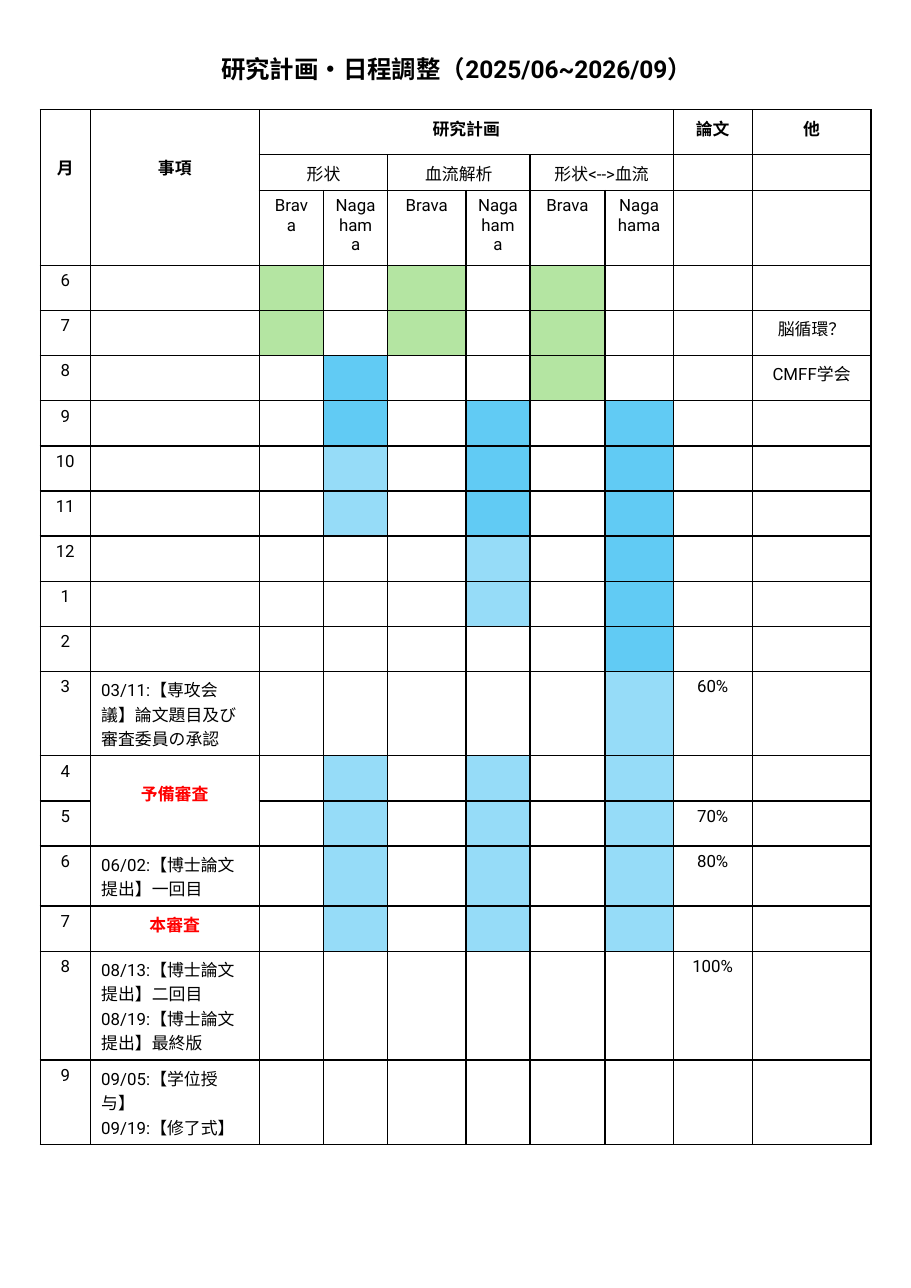
"""Build a one-page research plan and schedule table, June 2025 to September 2026."""
from lxml.etree import SubElement
from pptx import Presentation
from pptx.dml.color import RGBColor
from pptx.enum.text import PP_ALIGN
from pptx.oxml.ns import qn
from pptx.util import Cm, Pt

BLACK, RED, WHITE = "000000", "FF0000", "FFFFFF"
GREEN, BLUE, PALE_BLUE = "B4E5A2", "61CBF4", "96DCF8"


def set_colour(colour_format, hex_colour):
    """Give a fill or font colour its RGB value."""
    colour_format.rgb = RGBColor.from_string(hex_colour)


def write_line(paragraph, text, colour=BLACK, **format_values):
    """Add one formatted run to a paragraph."""
    run = paragraph.add_run()
    run.text = text
    values = {"name": "Roboto", "size": Pt(11), "bold": False} | format_values
    for attribute, value in values.items():
        setattr(run.font, attribute, value)
    set_colour(run.font.color, colour)


presentation = Presentation()
presentation.slide_width = Cm(21)
presentation.slide_height = Cm(29.7)
slide = presentation.slides.add_slide(presentation.slide_layouts[6])

column_widths = [1.15, 3.9, 1.48, 1.48, 1.8, 1.48, 1.73, 1.57, 1.82, 2.74]
months = [6, 7, 8, 9, 10, 11, 12, 1, 2, 3, 4, 5, 6, 7, 8, 9]
row_heights = [1.04, 0.61, 0.81] + [1.04] * len(months)
first_month_row = 3

texts = {
    (0, 0): "月", (0, 1): "事項", (0, 2): "研究計画", (0, 8): "論文", (0, 9): "他",
    (1, 2): "形状", (1, 4): "血流解析", (1, 6): "形状<-->血流",
    (4, 9): "脳循環？", (5, 9): "CMFF学会",
    (12, 1): "03/11:【専攻会議】論文題目及び審査委員の承認",
    (13, 1): "予備審査",
    (15, 1): "06/02:【博士論文提出】一回目",
    (16, 1): "本審査",
    (17, 1): "08/13:【博士論文提出】二回目\n08/19:【博士論文提出】最終版",
    (18, 1): "09/05:【学位授与】\n09/19:【修了式】",
    (12, 8): "60%", (14, 8): "70%", (15, 8): "80%", (17, 8): "100%",
}
for column in range(2, 8):
    texts[2, column] = "Nagahama" if column % 2 else "Brava"
for row, month in enumerate(months, first_month_row):
    texts[row, 0] = str(month)

bars = [
    (2, 3, 4, GREEN), (4, 3, 4, GREEN), (6, 3, 5, GREEN),
    (3, 5, 6, BLUE), (5, 6, 8, BLUE), (7, 6, 11, BLUE),
    (3, 7, 8, PALE_BLUE), (5, 9, 10, PALE_BLUE), (7, 12, 12, PALE_BLUE),
    (3, 13, 16, PALE_BLUE), (5, 13, 16, PALE_BLUE), (7, 13, 16, PALE_BLUE),
]
fills = {
    (row, column): colour
    for column, first, last, colour in bars
    for row in range(first, last + 1)
}
merges = [
    (0, 0, 2, 0), (0, 1, 2, 1), (0, 2, 0, 7),
    (1, 2, 1, 3), (1, 4, 1, 5), (1, 6, 1, 7), (13, 1, 14, 1),
]
top_margins = {(0, 0): 1.04, (0, 1): 1.04, (13, 1): 0.58}
review_cells = [(13, 1), (16, 1)]

table = slide.shapes.add_table(
    len(row_heights), len(column_widths), Cm(0.93), Cm(2.53),
    Cm(sum(column_widths)), Cm(sum(row_heights)),
).table
table.first_row = False
table.horz_banding = False
for column, width in enumerate(column_widths):
    table.columns[column].width = Cm(width)
for row, height in enumerate(row_heights):
    table.rows[row].height = Cm(height)
for top, left, bottom, right in merges:
    table.cell(top, left).merge(table.cell(bottom, right))

for row in range(len(row_heights)):
    for column in range(len(column_widths)):
        position = row, column
        cell = table.cell(row, column)
        cell.margin_top = Cm(top_margins.get(position, 0.13))
        properties = cell._tc.get_or_add_tcPr()
        for side in ("a:lnL", "a:lnR", "a:lnT", "a:lnB"):
            border = SubElement(properties, qn(side), w=str(Pt(1)))
            border_fill = SubElement(border, qn("a:solidFill"))
            SubElement(border_fill, qn("a:srgbClr"), val=BLACK)
        cell.fill.solid()
        set_colour(cell.fill.fore_color, fills.get(position, WHITE))

        is_review = position in review_cells
        is_note = column == 1 and row >= first_month_row and not is_review
        for index, line in enumerate(texts.get(position, "").split("\n")):
            frame = cell.text_frame
            paragraph = frame.add_paragraph() if index else frame.paragraphs[0]
            paragraph.alignment = PP_ALIGN.LEFT if is_note else PP_ALIGN.CENTER
            if line:
                write_line(paragraph, line, RED if is_review else BLACK,
                           bold=is_review or row == 0)
            SubElement(paragraph._p, qn("a:endParaRPr"), sz="1100")

title = slide.shapes.add_textbox(Cm(4.85), Cm(1.12), Cm(12.78), Cm(0.94))
title.text_frame.word_wrap = True
write_line(title.text_frame.paragraphs[0], "研究計画・日程調整（2025/06~2026/09）",
           size=Pt(16), bold=True)

presentation.save("out.pptx")
